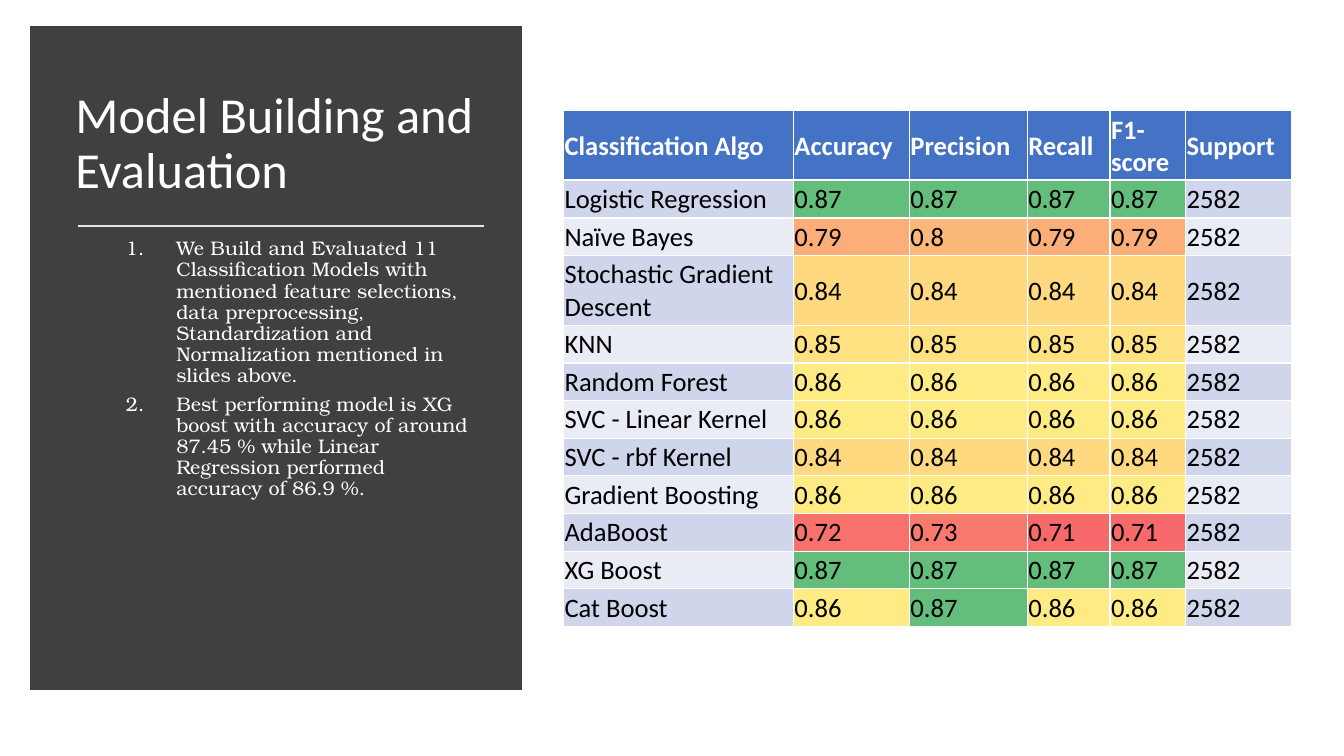
from lxml.etree import SubElement
from pptx import Presentation
from pptx.dml.color import RGBColor
from pptx.enum.shapes import MSO_CONNECTOR, MSO_SHAPE
from pptx.enum.text import MSO_ANCHOR
from pptx.oxml.ns import qn
from pptx.util import Inches, Pt

TITLE = "Model Building and Evaluation"
FINDINGS = [
    "We Build and Evaluated 11 Classification Models with mentioned feature "
    "selections, data preprocessing, Standardization and Normalization "
    "mentioned in slides above.",
    "Best performing model is XG boost with accuracy of around 87.45 % while "
    "Linear Regression performed accuracy of 86.9 %.",
]
HEADINGS = ["Classification Algo", "Accuracy", "Precision", "Recall", "F1-score", "Support"]
SCORES = [
    ("Logistic Regression", "0.87", "0.87", "0.87", "0.87"),
    ("Naïve Bayes", "0.79", "0.8", "0.79", "0.79"),
    ("Stochastic Gradient Descent", "0.84", "0.84", "0.84", "0.84"),
    ("KNN", "0.85", "0.85", "0.85", "0.85"),
    ("Random Forest", "0.86", "0.86", "0.86", "0.86"),
    ("SVC - Linear Kernel", "0.86", "0.86", "0.86", "0.86"),
    ("SVC - rbf Kernel", "0.84", "0.84", "0.84", "0.84"),
    ("Gradient Boosting", "0.86", "0.86", "0.86", "0.86"),
    ("AdaBoost", "0.72", "0.73", "0.71", "0.71"),
    ("XG Boost", "0.87", "0.87", "0.87", "0.87"),
    ("Cat Boost", "0.86", "0.87", "0.86", "0.86"),
]
SUPPORT = "2582"
HEAT = {
    "0.71": "F8696B", "0.72": "F8716C", "0.73": "F87A6E", "0.79": "FBAE78",
    "0.8": "FCB77A", "0.84": "FED980", "0.85": "FEE282", "0.86": "FFEB84",
    "0.87": "63BE7B",
}
BANDS = ["E9EBF5", "CFD5EA"]
COLUMN_WIDTHS = [2.28, 1.15, 1.17, 0.82, 0.75, 1.05]
TABLE_HEIGHT, TALL_ROW = 5.12, 0.69
TALL_ROWS = {0, 3}


def color(value):
    """Turn a hex string into a colour."""
    return RGBColor.from_string(value)


def apply(target, values):
    """Set each named attribute on the target."""
    for name, value in values.items():
        setattr(target, name, value)


class SlideBuilder:
    """Hold the slide and its style, and draw each kind of element."""

    white = "FFFFFF"
    title_font = {"name": "Calibri", "size": Pt(36)}
    body_font = {"name": "TeX Gyre Bonum", "size": Pt(14)}
    table_font = {"name": "Calibri", "size": Pt(19)}
    title_spacing = {"line_spacing": 0.9}
    body_spacing = {"line_spacing": 0.9, "space_before": Pt(5), "level": 1}
    cell_layout = {
        "margin_left": Inches(0.01), "margin_top": Inches(0.01),
        "margin_right": Inches(0.01), "margin_bottom": Inches(0),
        "vertical_anchor": MSO_ANCHOR.MIDDLE,
    }

    def __init__(self, slide):
        """Keep the current slide."""
        self.slide = slide

    def styled_run(self, paragraph, words, font, ink):
        """Add one styled run to a paragraph."""
        run = paragraph.add_run()
        run.text = words
        apply(run.font, font)
        run.font.color.rgb = color(ink)

    def panel(self, left, top, width, height, fill):
        """Draw a rectangle with a thick square-cornered outline."""
        panel = self.slide.shapes.add_shape(
            MSO_SHAPE.RECTANGLE, Inches(left), Inches(top), Inches(width), Inches(height))
        panel.shadow.inherit = False
        panel.fill.solid()
        panel.fill.fore_color.rgb = color(fill)
        panel.line.color.rgb = color(fill)
        panel.line.width = Pt(10)
        SubElement(panel.element.spPr.find(qn("a:ln")), qn("a:miter"), lim="800000")

    def rule(self, left, right, y, ink):
        """Draw a horizontal dividing line."""
        rule = self.slide.shapes.add_connector(
            MSO_CONNECTOR.STRAIGHT, Inches(left), Inches(y), Inches(right), Inches(y))
        rule.line.color.rgb = color(ink)
        rule.line.width = Pt(1.75)
        SubElement(rule.element.spPr, qn("a:effectLst"))

    def text(self, left, top, width, height, paragraphs, font, spacing,
             anchor=MSO_ANCHOR.TOP, numbered=False):
        """Draw a wrapped text box, numbered on request."""
        frame = self.slide.shapes.add_textbox(
            Inches(left), Inches(top), Inches(width), Inches(height)).text_frame
        apply(frame, {"word_wrap": True, "vertical_anchor": anchor})
        for index, words in enumerate(paragraphs):
            paragraph = frame.add_paragraph() if index else frame.paragraphs[0]
            apply(paragraph, spacing)
            self.styled_run(paragraph, words, font, self.white)
            if numbered:
                self.number(paragraph)

    def number(self, paragraph):
        """Give a paragraph a hanging automatic number."""
        properties = paragraph._p.get_or_add_pPr()
        properties.set("marL", str(Inches(1)))
        properties.set("indent", str(Inches(-0.5)))
        SubElement(properties, qn("a:buAutoNum"), type="arabicPeriod")

    def borders(self, cell, widths):
        """Draw white borders on the named sides of a cell."""
        properties = cell._tc.get_or_add_tcPr()
        for side, width in widths.items():
            border = SubElement(properties, qn(f"a:ln{side}"), w=str(Pt(width)))
            fill = SubElement(border, qn("a:solidFill"))
            SubElement(fill, qn("a:srgbClr"), val=self.white)

    def cell(self, cell, words, fill, ink, bold, widths):
        """Fill one table cell."""
        apply(cell, self.cell_layout)
        self.borders(cell, widths)
        cell.fill.solid()
        cell.fill.fore_color.rgb = color(fill)
        font = {**self.table_font, "bold": bold}
        self.styled_run(cell.text_frame.paragraphs[0], words, font, ink)

    def score_table(self, left, top):
        """Draw the table of model scores."""
        rows = [HEADINGS] + [(*scores, SUPPORT) for scores in SCORES]
        table = self.slide.shapes.add_table(
            len(rows), len(HEADINGS), Inches(left), Inches(top),
            Inches(sum(COLUMN_WIDTHS)), Inches(TABLE_HEIGHT)).table
        table.horz_banding = False
        for column, width in zip(table.columns, COLUMN_WIDTHS):
            column.width = Inches(width)
        short_row = (TABLE_HEIGHT - TALL_ROW * len(TALL_ROWS)) / (len(rows) - len(TALL_ROWS))
        for r, row in enumerate(rows):
            table.rows[r].height = Inches(TALL_ROW if r in TALL_ROWS else short_row)
            header = r == 0
            widths = {"L": 1, "R": 1, "T": 1.5 if r == 1 else 1, "B": 1.5 if header else 1}
            for c, words in enumerate(row):
                fill = "4472C4" if header else HEAT.get(words, BANDS[r % 2])
                ink = self.white if header else "000000"
                self.cell(table.cell(r, c), words, fill, ink, header, widths)


def main():
    """Build and save the slide."""
    deck = Presentation()
    apply(deck, {"slide_width": Inches(13.33), "slide_height": Inches(7.5)})
    builder = SlideBuilder(deck.slides.add_slide(deck.slide_layouts[6]))
    builder.panel(0.37, 0.33, 4.74, 6.45, "404040")
    builder.text(0.65, 0.7, 4.18, 1.47, [TITLE], builder.title_font,
                 builder.title_spacing, anchor=MSO_ANCHOR.MIDDLE)
    builder.rule(0.77, 4.8, 2.24, "E7E6E6")
    builder.text(0.65, 2.32, 4.18, 4.13, FINDINGS, builder.body_font,
                 builder.body_spacing, numbered=True)
    builder.score_table(5.59, 1.1)
    deck.save("out.pptx")


if __name__ == "__main__":
    main()
